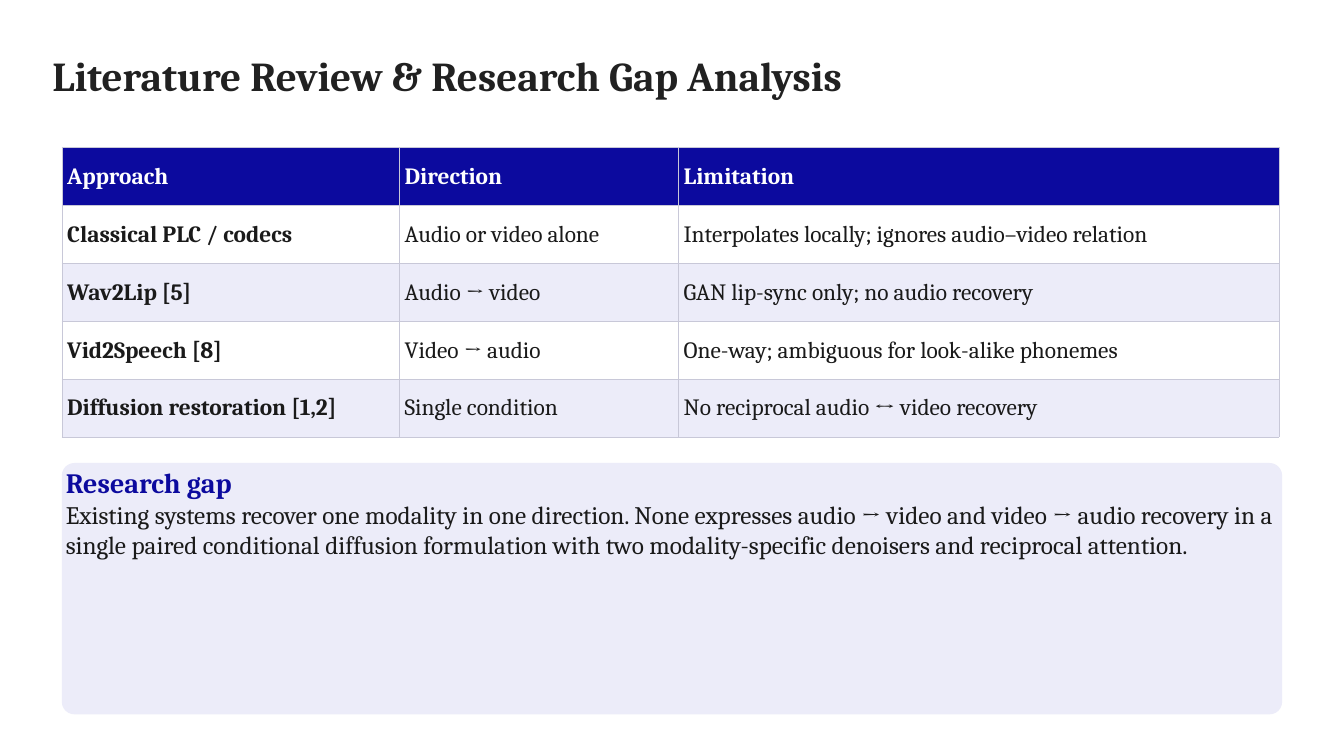
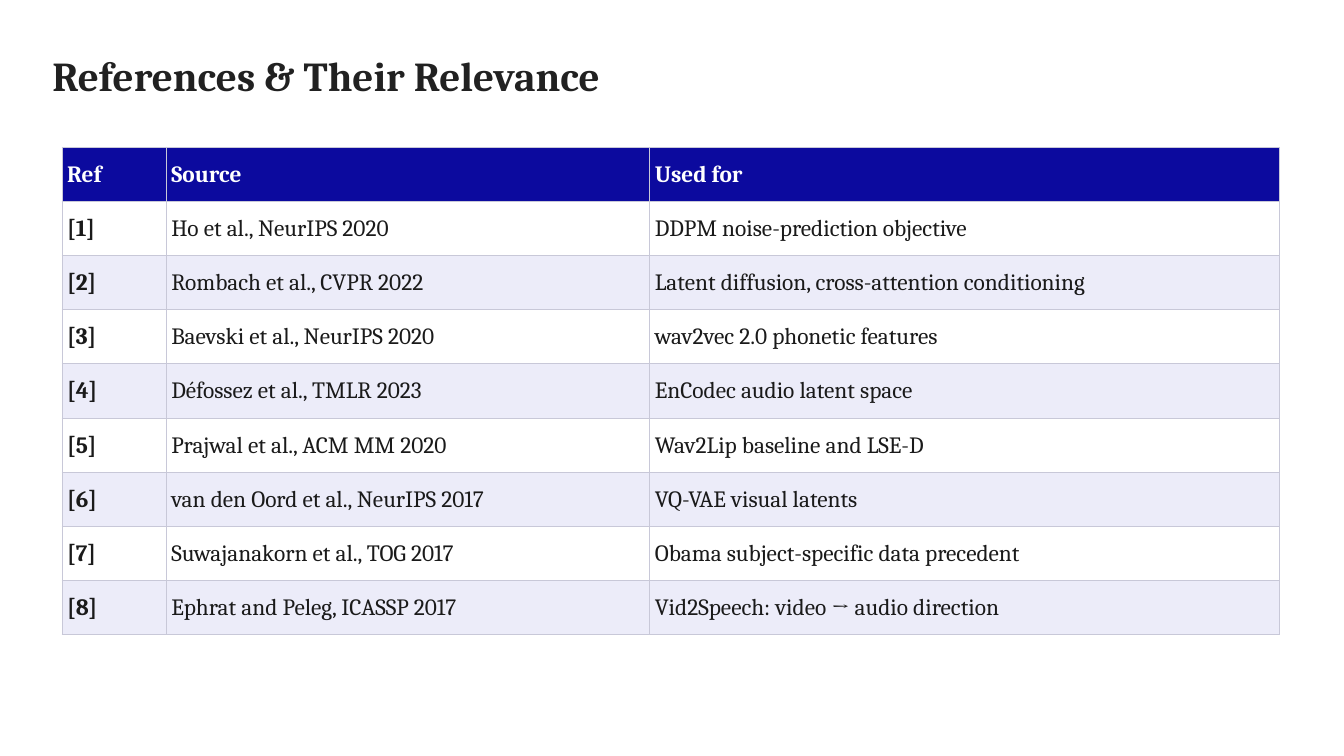
from collections import namedtuple

from lxml.etree import SubElement
from pptx import Presentation
from pptx.dml.color import RGBColor
from pptx.enum.shapes import MSO_SHAPE as Shape
from pptx.enum.text import MSO_ANCHOR as Anchor, MSO_AUTO_SIZE as AutoSize
from pptx.oxml.ns import qn
from pptx.util import Inches, Pt

COLORS = {
    "title": "212121",
    "accent": "0C0A9E",
    "body": "1A1A1A",
    "tint": "ECECF9",
    "white": "FFFFFF",
    "rule": "C8C8D8",
}
FONT = "Cambria"
COLUMNS, ROWS = 20, 11.25
SLIDE_WIDTH, SLIDE_HEIGHT = Inches(20), Inches(11.25)
COLUMN, ROW = SLIDE_WIDTH / COLUMNS, SLIDE_HEIGHT / ROWS
CELL_INSET = Inches(0.08)
BORDER_WIDTH = Pt(0.5)
LINE_SPACING = 1.2

Box = namedtuple("Box", "left top width height")


def grid_box(column, row, columns, rows):
    return Box(int(column * COLUMN), int(row * ROW),
               int(columns * COLUMN), int(rows * ROW))


TITLE = grid_box(0.78, 0.75, 18.44, 1.12)
REVIEW_TABLE = grid_box(0.92, 2.19, 18.11, 4.31)
GAP_PANEL = grid_box(0.92, 6.87, 18.16, 3.76)
REFERENCE_TABLE = grid_box(0.92, 2.19, 18.11, 7.25)

REVIEW = [
    ("Approach", "Direction", "Limitation"),
    ("Classical PLC / codecs", "Audio or video alone",
     "Interpolates locally; ignores audio–video relation"),
    ("Wav2Lip [5]", "Audio → video", "GAN lip-sync only; no audio recovery"),
    ("Vid2Speech [8]", "Video → audio",
     "One-way; ambiguous for look-alike phonemes"),
    ("Diffusion restoration [1,2]", "Single condition",
     "No reciprocal audio ↔ video recovery"),
]
GAP_TEXT = (
    "Existing systems recover one modality in one direction. None expresses "
    "audio → video and video → audio recovery in a single paired conditional "
    "diffusion formulation with two modality-specific denoisers and "
    "reciprocal attention."
)
SOURCES = [
    ("Ho et al., NeurIPS 2020", "DDPM noise-prediction objective"),
    ("Rombach et al., CVPR 2022",
     "Latent diffusion, cross-attention conditioning"),
    ("Baevski et al., NeurIPS 2020", "wav2vec 2.0 phonetic features"),
    ("Défossez et al., TMLR 2023", "EnCodec audio latent space"),
    ("Prajwal et al., ACM MM 2020", "Wav2Lip baseline and LSE-D"),
    ("van den Oord et al., NeurIPS 2017", "VQ-VAE visual latents"),
    ("Suwajanakorn et al., TOG 2017", "Obama subject-specific data precedent"),
    ("Ephrat and Peleg, ICASSP 2017", "Vid2Speech: video → audio direction"),
]
REFERENCES = [("Ref", "Source", "Used for")] + [
    (f"[{number}]", *source) for number, source in enumerate(SOURCES, 1)
]


def color(name):
    return RGBColor.from_string(COLORS[name])


def fill_solid(target, name):
    target.fill.solid()
    target.fill.fore_color.rgb = color(name)


def set_insets(target, inset):
    target.margin_left = target.margin_right = inset
    target.margin_top = target.margin_bottom = inset


def write(para, text, size, tone, bold=False):
    para.text = text
    para.line_spacing = Pt(round(size * LINE_SPACING, 1))
    font = para.font
    font.name, font.size, font.bold = FONT, Pt(size), bold
    font.color.rgb = color(tone)


def add_text_frame(shapes, box, inset):
    frame = shapes.add_textbox(*box).text_frame
    frame.word_wrap = True
    set_insets(frame, inset)
    return frame


def draw_borders(cell):
    properties = cell._tc.get_or_add_tcPr()
    for side in ("a:lnL", "a:lnR", "a:lnT", "a:lnB"):
        line = SubElement(properties, qn(side), w=str(BORDER_WIDTH))
        fill = SubElement(line, qn("a:solidFill"))
        SubElement(fill, qn("a:srgbClr"), val=COLORS["rule"])


def add_title(page, box, text):
    frame = add_text_frame(page.shapes, box, 0)
    frame.auto_size = AutoSize.SHAPE_TO_FIT_TEXT
    write(frame.paragraphs[0], text, 44, "title", bold=True)


def add_grid_table(page, box, records, widths):
    table = page.shapes.add_table(len(records), len(widths), *box).table
    table.horz_banding = False
    for column, width in zip(table.columns, widths):
        column.width = int(box.width * width / sum(widths))
    for row_index, record in enumerate(records):
        table.rows[row_index].height = box.height // len(records)
        header = row_index == 0
        band = "accent" if header else "white" if row_index % 2 else "tint"
        for column_index, text in enumerate(record):
            cell = table.cell(row_index, column_index)
            cell.vertical_anchor = Anchor.MIDDLE
            set_insets(cell, CELL_INSET)
            draw_borders(cell)
            fill_solid(cell, band)
            write(cell.text_frame.paragraphs[0], text, 25,
                  "white" if header else "body",
                  bold=header or column_index == 0)


def add_panel(page, box, heading, text):
    group = page.shapes.add_group_shape()
    offset = int(0.02 * ROW)
    panel = group.shapes.add_shape(Shape.ROUNDED_RECTANGLE, box.left,
                                   box.top + offset, box.width,
                                   box.height - offset)
    panel.adjustments[0] = 0.05
    panel.shadow.inherit = False
    fill_solid(panel, "tint")
    panel.line.fill.background()
    frame = add_text_frame(group.shapes, box, Inches(0.06))
    write(frame.paragraphs[0], heading, 30, "accent", bold=True)
    write(frame.add_paragraph(), text, 27, "body")


def add_page(deck, title):
    page = deck.slides.add_slide(deck.slide_layouts[6])
    fill_solid(page.background, "white")
    add_title(page, TITLE, title)
    return page


def add_review_page(deck):
    page = add_page(deck, "Literature Review & Research Gap Analysis")
    add_grid_table(page, REVIEW_TABLE, REVIEW, (5.02, 4.15, 8.93))
    add_panel(page, GAP_PANEL, "Research gap", GAP_TEXT)


def add_reference_page(deck):
    page = add_page(deck, "References & Their Relevance")
    add_grid_table(page, REFERENCE_TABLE, REFERENCES, (1.55, 7.2, 9.37))


def main():
    deck = Presentation()
    deck.slide_width, deck.slide_height = SLIDE_WIDTH, SLIDE_HEIGHT
    add_review_page(deck)
    add_reference_page(deck)
    deck.save("out.pptx")


if __name__ == "__main__":
    main()
